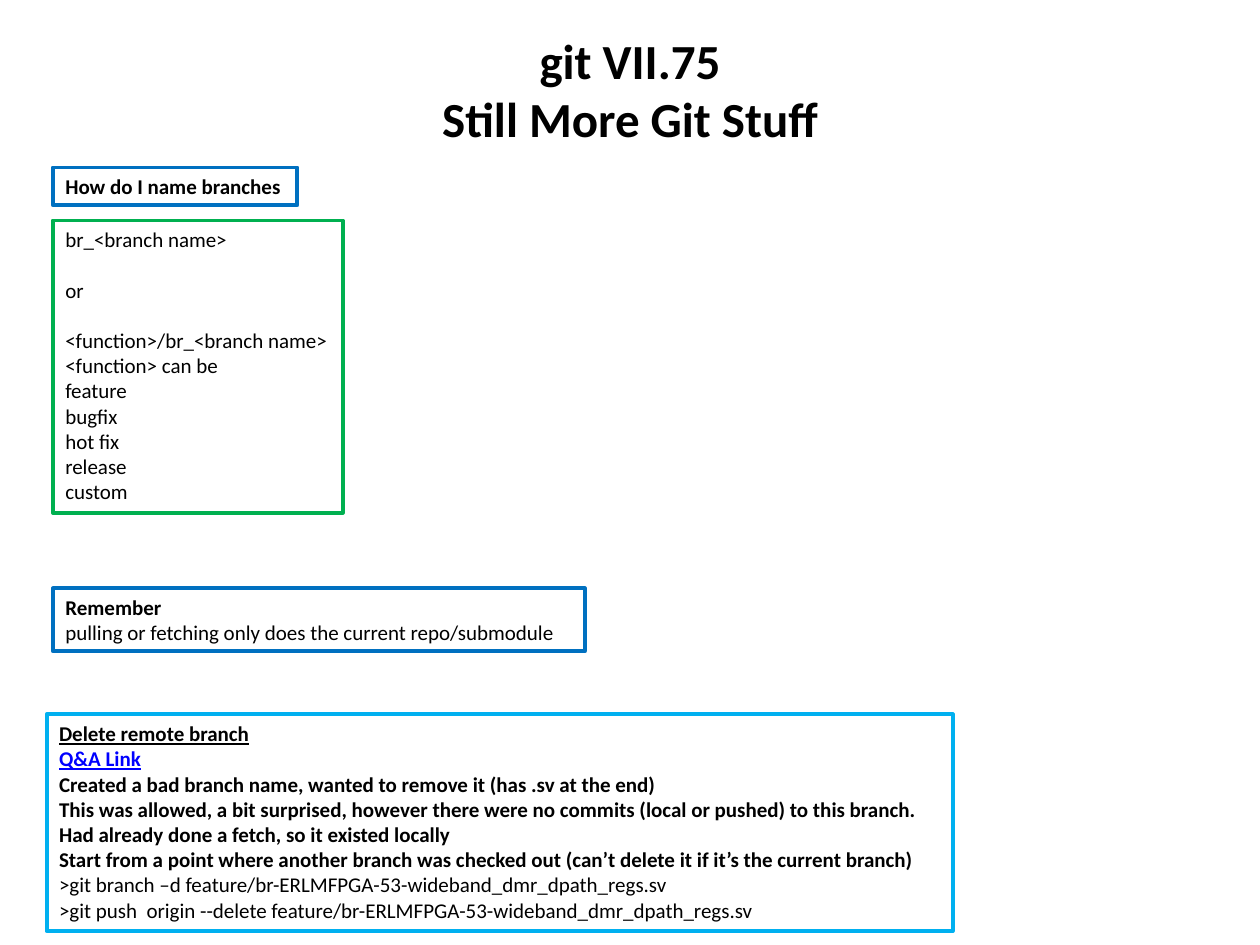
from pptx import Presentation
from pptx.dml.color import RGBColor
from pptx.enum.shapes import MSO_SHAPE
from pptx.enum.text import MSO_ANCHOR, PP_ALIGN
from pptx.util import Inches, Pt

RECTANGLE = MSO_SHAPE.RECTANGLE
TOP, MIDDLE = MSO_ANCHOR.TOP, MSO_ANCHOR.MIDDLE
LEFT, CENTER = PP_ALIGN.LEFT, PP_ALIGN.CENTER

FONT = "Calibri"
BLACK, WHITE, LINK_BLUE = "000000", "FFFFFF", "0000FF"
BLUE, GREEN, SKY = "0070C0", "00B050", "00B0F0"
BODY_SIZE, TITLE_SIZE = 12, 28
LINE_GAP = 14.4  # one body line, in points

PLAIN = {}
BOLD = {"bold": True}
HEADING = {"bold": True, "underline": True}
LINK = {"bold": True, "underline": True, "color": LINK_BLUE}
SPACED = {"space_before": LINE_GAP}

TITLE = "git VII.75\vStill More Git Stuff"
TITLE_AREA = (0.5, 0.08, 9, 1.25)

# (left, top, width, height), border colour, (text, style) lines
NOTES = [
    ((0.42, 1.33, 1.94, 0.3), BLUE, [("How do I name branches", BOLD)]),
    ((0.42, 4.67, 4.22, 0.5), BLUE, [
        ("Remember", BOLD),
        ("pulling or fetching only does the current repo/submodule", PLAIN),
    ]),
    ((0.42, 1.75, 2.3, 2.32), GREEN, [
        ("br_<branch name>", PLAIN),
        ("or", SPACED),
        ("<function>/br_<branch name>", SPACED),
        ("<function> can be", PLAIN),
        ("feature", PLAIN),
        ("bugfix", PLAIN),
        ("hot fix", PLAIN),
        ("release", PLAIN),
        ("custom", PLAIN),
    ]),
    ((0.37, 5.67, 7.19, 1.72), SKY, [
        ("Delete remote branch", HEADING),
        ("Q&A Link", LINK),
        ("Created a bad branch name, wanted to remove it (has .sv at the end)", BOLD),
        ("This was allowed, a bit surprised, however there were no commits "
         "(local or pushed) to this branch.", BOLD),
        ("Had already done a fetch, so it existed locally", BOLD),
        ("Start from a point where another branch was checked out "
         "(can’t delete it if it’s the current branch)", BOLD),
        (">git branch –d feature/br-ERLMFPGA-53-wideband_dmr_dpath_regs.sv", PLAIN),
        (">git push  origin --delete feature/br-ERLMFPGA-53-wideband_dmr_dpath_regs.sv", PLAIN),
    ]),
]


def rgb(color):
    return RGBColor.from_string(color)


def write_lines(box, lines, size, align, anchor):
    frame = box.text_frame
    frame.word_wrap = True
    frame.vertical_anchor = anchor
    frame.text = "\n".join(text for text, _ in lines)
    for para, (_, style) in zip(frame.paragraphs, lines):
        para.alignment = align
        if "space_before" in style:
            para.space_before = Pt(style["space_before"])
        for span in para.runs:
            span.font.name = FONT
            span.font.size = Pt(size)
            span.font.bold = style.get("bold", False)
            span.font.underline = style.get("underline", False)
            span.font.color.rgb = rgb(style.get("color", BLACK))


def add_title(page):
    box = page.shapes.add_textbox(*map(Inches, TITLE_AREA))
    write_lines(box, [(TITLE, BOLD)], TITLE_SIZE, CENTER, MIDDLE)


def add_note(page, area, border, lines):
    box = page.shapes.add_shape(RECTANGLE, *map(Inches, area))
    box.shadow.inherit = False
    box.fill.solid()
    box.fill.fore_color.rgb = rgb(WHITE)
    box.line.color.rgb = rgb(border)
    box.line.width = Pt(2.25)
    write_lines(box, lines, BODY_SIZE, LEFT, TOP)


def main():
    deck = Presentation()
    deck.slide_width, deck.slide_height = Inches(10), Inches(7.5)
    page = deck.slides.add_slide(deck.slide_layouts[6])
    add_title(page)
    for area, border, lines in NOTES:
        add_note(page, area, border, lines)
    deck.save("out.pptx")


if __name__ == "__main__":
    main()
